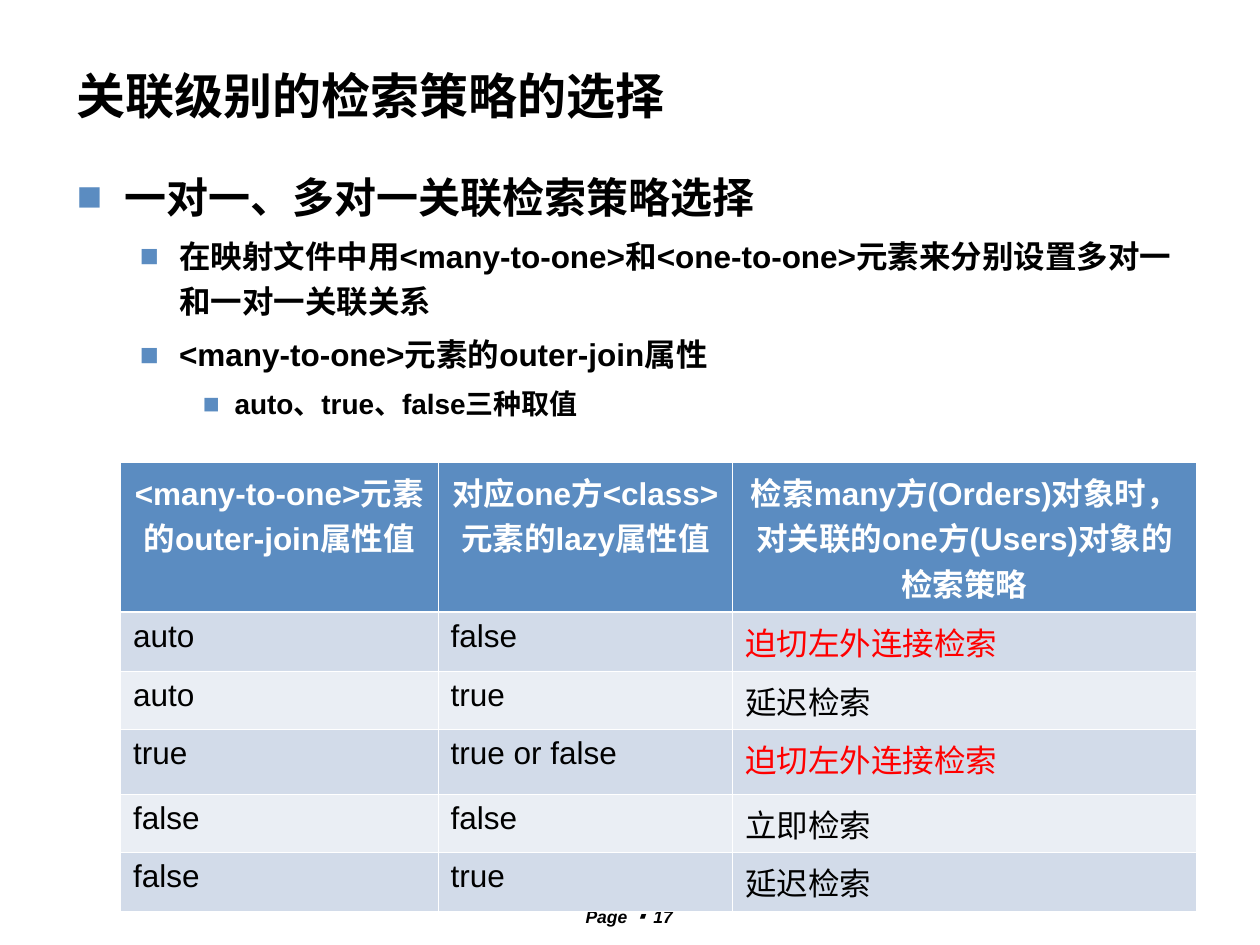
from lxml import etree
from pptx import Presentation
from pptx.dml.color import RGBColor
from pptx.enum.text import MSO_ANCHOR, PP_ALIGN
from pptx.oxml.ns import qn
from pptx.util import Cm, Pt

CENTER, LEFT = PP_ALIGN.CENTER, PP_ALIGN.LEFT
TOP, MIDDLE = MSO_ANCHOR.TOP, MSO_ANCHOR.MIDDLE

COLORS = {
    "text": "000000", "accent": "5B8CC1", "white": "FFFFFF",
    "eager": "FF0000", "odd_row": "D2DBE9", "even_row": "EAEEF4",
}
LATIN, CJK = "Arial", "Noto Sans CJK JP"

TITLE = "关联级别的检索策略的选择"
FOOTER = [("Page ", LATIN), ("▪ ", CJK), ("17", LATIN)]
OUTLINE = [
    (0, "一对一、多对一关联检索策略选择"),
    (1, "在映射文件中用<many-to-one>和<one-to-one>元素来分别设置多对一和一对一关联关系"),
    (1, "<many-to-one>元素的outer-join属性"),
    (2, "auto、true、false三种取值"),
]
# Per outline level: size (pt), space before (pt), left margin and hang (cm)
LEVELS = [(24, 6, 0.97, 0.97), (18, 4.5, 2.06, 0.79), (16, 4, 3.18, 0.64)]

EAGER = "迫切左外连接检索"
STRATEGIES = [
    ("<many-to-one>元素的outer-join属性值", "对应one方<class>元素的lazy属性值",
     "检索many方(Orders)对象时，对关联的one方(Users)对象的检索策略"),
    ("auto", "false", EAGER),
    ("auto", "true", "延迟检索"),
    ("true", "true or false", EAGER),
    ("false", "false", "立即检索"),
    ("false", "true", "延迟检索"),
]
COLUMN_WIDTHS = [6.4, 5.94, 9.34]
ROW_HEIGHTS = [3.02, 1.19, 1.18, 1.3, 1.18, 1.18]

BOXES = {
    "title": (1.3, 1.12, 22.81, 1.6),
    "outline": (1.3, 3.12, 22.81, 14.4),
    "footer": (10.69, 18.14, 3.99, 0.56),
}


def rgb(color):
    return RGBColor.from_string(COLORS[color])


def write(paragraph, text, color="text", latin=LATIN, **font_format):
    run = paragraph.add_run()
    run.text = text
    run.font.color.rgb = rgb(color)
    run.font.name = latin
    for key, value in font_format.items():
        setattr(run.font, key, value)
    etree.SubElement(run._r.get_or_add_rPr(), qn("a:ea"), typeface=CJK)


def add_text_frame(slide, part, anchor=TOP):
    frame = slide.shapes.add_textbox(*map(Cm, BOXES[part])).text_frame
    frame.word_wrap = True
    frame.vertical_anchor = anchor
    return frame


def add_bullet(paragraph, margin, hang):
    properties = paragraph._p.get_or_add_pPr()
    properties.set("marL", str(Cm(margin)))
    properties.set("indent", str(-Cm(hang)))
    color = etree.SubElement(properties, qn("a:buClr"))
    etree.SubElement(color, qn("a:srgbClr"), val=COLORS["accent"])
    etree.SubElement(properties, qn("a:buFont"), typeface=LATIN)
    etree.SubElement(properties, qn("a:buChar"), char="■")


def add_outline(slide):
    frame = add_text_frame(slide, "outline")
    for index, (level, text) in enumerate(OUTLINE):
        paragraph = frame.add_paragraph() if index else frame.paragraphs[0]
        size, before, margin, hang = LEVELS[level]
        layout = {"level": level, "line_spacing": 1.2, "space_before": Pt(before)}
        for key, value in layout.items():
            setattr(paragraph, key, value)
        add_bullet(paragraph, margin, hang)
        write(paragraph, text, size=Pt(size), bold=True)


def set_borders(cell, widths):
    """Draw white borders; the schema wants them ahead of the cell fill."""
    properties = cell._tc.get_or_add_tcPr()
    for position, (side, width) in enumerate(widths.items()):
        line = etree.Element(qn(f"a:{side}"), w=str(Pt(width)))
        fill = etree.SubElement(line, qn("a:solidFill"))
        etree.SubElement(fill, qn("a:srgbClr"), val=COLORS["white"])
        properties.insert(position, line)


def add_strategy_table(slide):
    table = slide.shapes.add_table(
        len(STRATEGIES), len(COLUMN_WIDTHS), Cm(2.43), Cm(9.32),
        Cm(sum(COLUMN_WIDTHS)), Cm(sum(ROW_HEIGHTS))).table
    for column, width in zip(table.columns, COLUMN_WIDTHS):
        column.width = Cm(width)
    for r, (row, height) in enumerate(zip(table.rows, ROW_HEIGHTS)):
        row.height = Cm(height)
        header = r == 0
        row_fill = "accent" if header else "odd_row" if r % 2 else "even_row"
        borders = {"lnL": 0.45, "lnR": 0.45,
                   "lnT": 1.47 if r == 1 else 0.45,
                   "lnB": 1.47 if header else 0.45}
        for cell, text in zip(row.cells, STRATEGIES[r]):
            cell.fill.solid()
            cell.fill.fore_color.rgb = rgb(row_fill)
            set_borders(cell, borders)
            paragraph = cell.text_frame.paragraphs[0]
            paragraph.alignment = CENTER if header else LEFT
            # Keep punctuation inside the cell margin
            paragraph._p.get_or_add_pPr().set("hangingPunct", "0")
            color = "white" if header else "eager" if text == EAGER else "text"
            write(paragraph, text, color, size=Pt(18), bold=header)


def main():
    deck = Presentation()
    deck.slide_width, deck.slide_height = Cm(25.4), Cm(19.05)
    slide = deck.slides.add_slide(deck.slide_layouts[6])

    footer = add_text_frame(slide, "footer").paragraphs[0]
    footer.alignment = CENTER
    for text, latin in FOOTER:
        write(footer, text, latin=latin, size=Pt(10), bold=True, italic=True)

    title = add_text_frame(slide, "title", MIDDLE).paragraphs[0]
    write(title, TITLE, size=Pt(28), bold=True)
    add_outline(slide)
    add_strategy_table(slide)
    deck.save("out.pptx")


if __name__ == "__main__":
    main()
